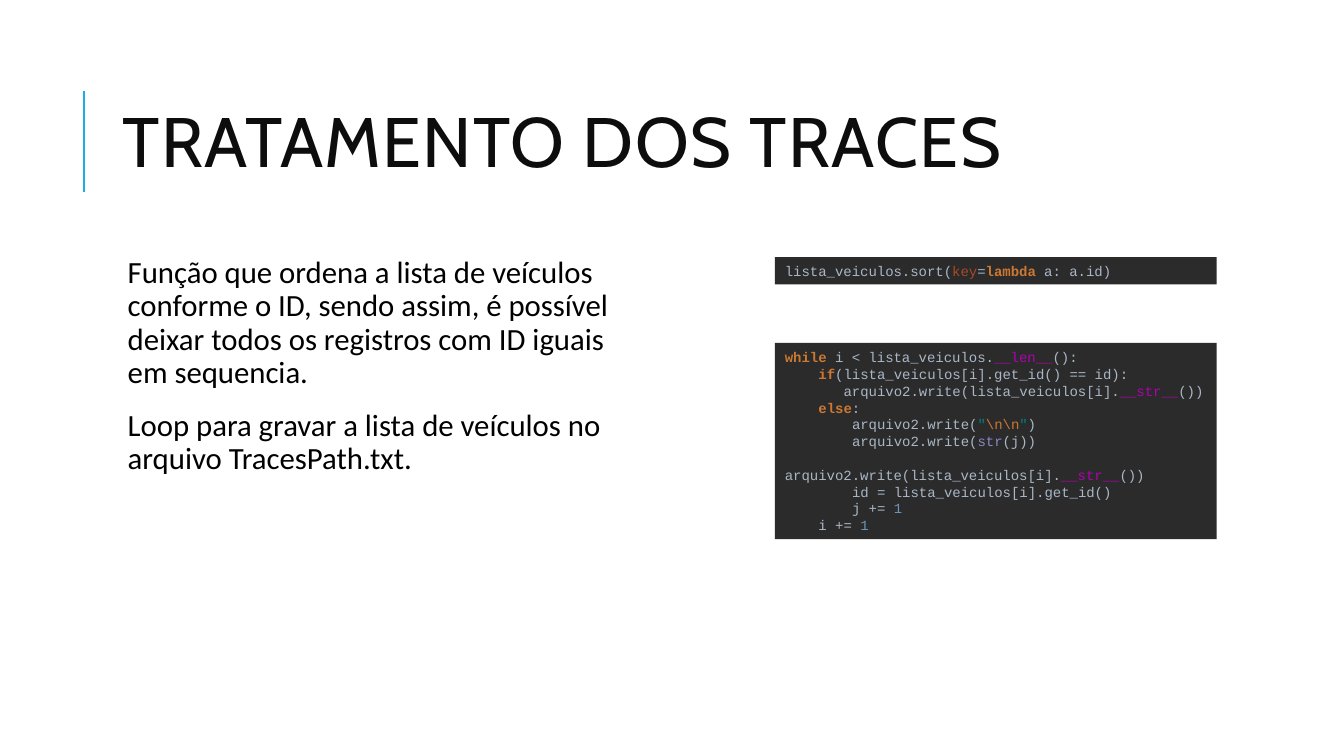
import pptx
import pptx.util
import pptx.dml.color
import pptx.enum.shapes
import pptx.enum.text
import pptx.oxml
from pptx.util import Cm, Pt

MID = pptx.enum.text.MSO_ANCHOR.MIDDLE
TOP = pptx.enum.text.MSO_ANCHOR.TOP
LEFT = pptx.enum.text.PP_ALIGN.LEFT


def color(text):
    return pptx.dml.color.RGBColor.from_string(text)


class Page:
    accent, dark = "1CADE4", "2B2B2B"
    # Code tokens: colour and weight
    tokens = {
        "word": ("CC7832", True),
        "mark": ("CC7832", False),
        "plain": ("A9B7C6", False),
        "magic": ("B200B2", False),
        "quote": ("008080", False),
        "call": ("8888C6", False),
        "num": ("6897BB", False),
        "arg": ("AA4926", False),
    }

    def __init__(self, deck):
        self.slide = deck.slides.add_slide(deck.slide_layouts[5])

    def frame(self, shape, anchor, pads):
        box = shape.text_frame
        box.word_wrap = True
        box.auto_size = pptx.enum.text.MSO_AUTO_SIZE.NONE
        box.vertical_anchor = anchor
        (box.margin_left, box.margin_top,
         box.margin_right, box.margin_bottom) = map(Cm, pads)
        return box

    def para(self, box, first, gap, after=0):
        para = box.paragraphs[0] if first else box.add_paragraph()
        para.alignment = LEFT
        para.line_spacing = gap
        para.space_before = Pt(after)
        return para

    def run(self, para, text, font, size, tint, bold=False):
        run = para.add_run()
        run.text = text
        run.font.name, run.font.size, run.font.bold = font, Pt(size), bold
        run.font.color.rgb = color(tint)
        return run

    def title(self, text, *area):
        shape = self.slide.shapes.title
        shape.left, shape.top, shape.width, shape.height = map(Cm, area)
        box = self.frame(shape, MID, (0.25, 0.13, 0.25, 0.13))
        run = self.run(self.para(box, True, 0.8), text, "Cabin", 50, "0D0D0D")
        run.font._element.set("spc", "100")

    def rule(self, *ends):
        kind = pptx.enum.shapes.MSO_CONNECTOR.STRAIGHT
        line = self.slide.shapes.add_connector(kind, *map(Cm, ends))
        line.line.color.rgb = color(self.accent)
        line.line.width = Pt(1.5)
        props = line._element.spPr
        props.append(pptx.oxml.parse_xml(
            '<a:effectLst xmlns:a='
            '"http://schemas.openxmlformats.org/drawingml/2006/main"/>'))

    def text(self, lines, *area):
        shape = self.slide.shapes.add_textbox(*map(Cm, area))
        box = self.frame(shape, TOP, (0.38, 0.13, 0.13, 0.13))
        for i, line in enumerate(lines):
            para = self.para(box, i == 0, 0.9, 14 if i else 0)
            self.run(para, line, "Calibri", 22, "000000")

    def code(self, lines, *area):
        kind = pptx.enum.shapes.MSO_SHAPE.RECTANGLE
        shape = self.slide.shapes.add_shape(kind, *map(Cm, area))
        shape.shadow.inherit = False
        shape.fill.solid()
        shape.fill.fore_color.rgb = color(self.dark)
        shape.line.fill.background()
        box = self.frame(shape, MID, (0.25, 0.13, 0, 0.13))
        for i, (indent, skip, parts) in enumerate(lines):
            para = self.para(box, i == 0, Pt(12), 12 * skip)
            # One column of 10 pt code is 6 pt wide
            para._p.get_or_add_pPr().set("marL", str(Pt(6 * indent)))
            for token, text in parts:
                tint, bold = self.tokens[token]
                self.run(para, text, "Courier New", 10, tint, bold)


deck = pptx.Presentation()
deck.slide_width, deck.slide_height = Cm(33.87), Cm(19.05)
page = Page(deck)

# Heading
page.rule(2.11, 4.83, 2.11, 2.29)
page.title("TRATAMENTO DOS TRACES", 2.84, 1.63, 27, 4.17)

# Explanation
page.text([
    "Função que ordena a lista de veículos conforme o ID, sendo assim, "
    "é possível deixar todos os registros com ID iguais em sequencia.",
    "Loop para gravar a lista de veículos no arquivo TracesPath.txt.",
], 2.84, 6.35, 13.21, 11.18)

# Loop code: indent in columns, lines skipped above, tokens
save = [("plain", "arquivo2.write(lista_veiculos[i]."),
        ("magic", "__str__"), ("plain", "())")]
loop = [
    (0, 0, [("word", "while "), ("plain", "i < lista_veiculos."),
            ("magic", "__len__"), ("plain", "():")]),
    (4, 0, [("word", "if"), ("plain", "(lista_veiculos[i].get_id() == id):")]),
    (7, 0, save),
    (4, 0, [("word", "else"), ("plain", ":")]),
    (8, 0, [("plain", "arquivo2.write("), ("quote", '"'),
            ("mark", "\\n\\n"), ("quote", '"'), ("plain", ")")]),
    (8, 0, [("plain", "arquivo2.write("), ("call", "str"),
            ("plain", "(j))")]),
    (0, 1, save),
    (8, 0, [("plain", "id = lista_veiculos[i].get_id()")]),
    (8, 0, [("plain", "j += "), ("num", "1")]),
    (4, 0, [("plain", "i += "), ("num", "1")]),
]
page.code(loop, 19.53, 8.64, 11.13, 4.95)

# Sort code
sort = [("plain", "lista_veiculos.sort("), ("arg", "key"), ("plain", "="),
        ("word", "lambda "), ("plain", "a: a.id)")]
page.code([(0, 0, sort)], 19.53, 6.48, 11.13, 0.69)

deck.save("out.pptx")
